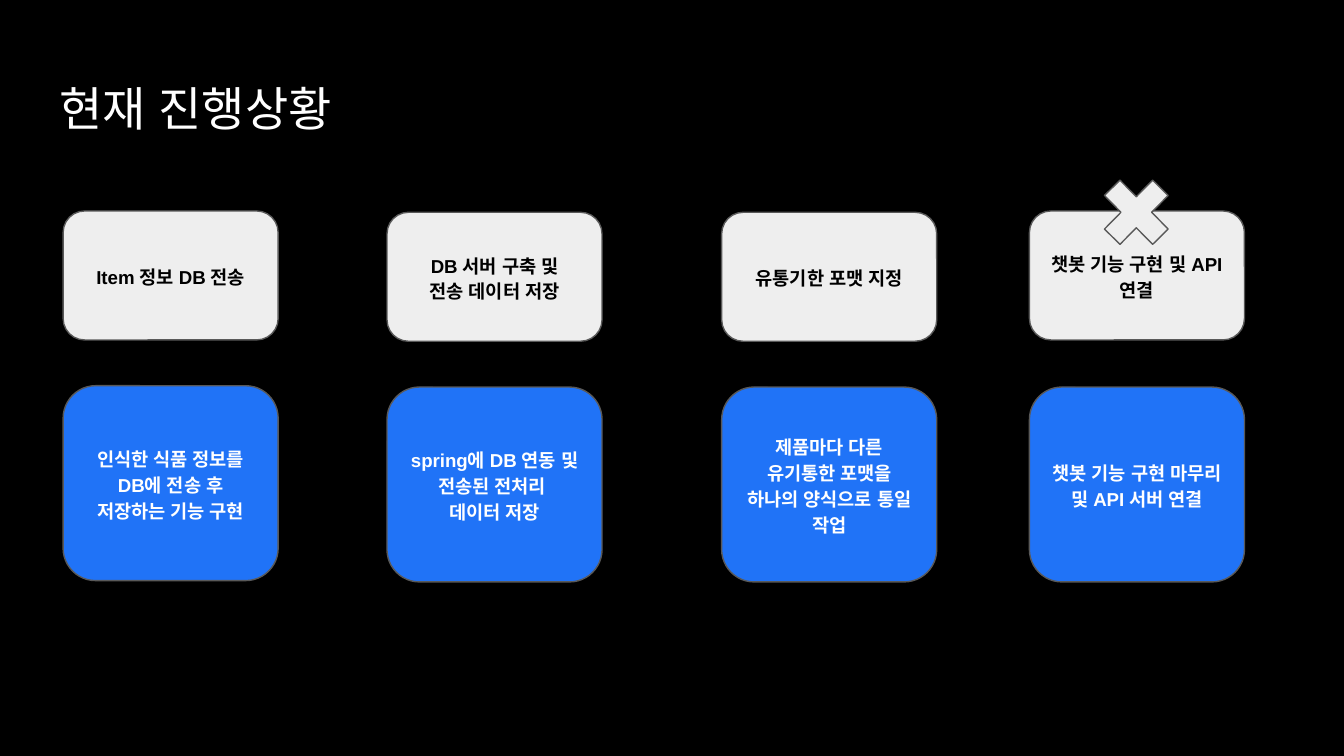
"""Build a progress slide: four tasks, each a header card over a detail card."""
from lxml.etree import SubElement
from pptx import Presentation
from pptx.dml.color import RGBColor
from pptx.enum.shapes import MSO_SHAPE as Kind
from pptx.enum.text import MSO_ANCHOR as Anchor, PP_ALIGN as Align
from pptx.oxml.ns import qn
from pptx.util import Inches, Pt


def paint(shape, fill, line="595959"):
    shape.shadow.inherit = False
    shape.fill.solid()
    shape.fill.fore_color.rgb = RGBColor.from_string(fill)
    shape.line.color.rgb = RGBColor.from_string(line)
    shape.line.width = Pt(0.75)


def write(shape, text, size=10, color="000000", bold=True, align=Align.CENTER, gap=1.15):
    frame = shape.text_frame
    frame.word_wrap = True
    frame.vertical_anchor = Anchor.MIDDLE
    frame.margin_left = frame.margin_right = Inches(0.1)
    frame.margin_top = frame.margin_bottom = Inches(0.1)
    frame.text = text
    for para in frame.paragraphs:
        para.alignment = align
        para.line_spacing = gap
        para.space_before = Pt(0)
        run = para.runs[0]
        font = run.font
        font.name, font.size, font.bold = "Arial", Pt(size), bold
        font.color.rgb = RGBColor.from_string(color)
        props = run._r.get_or_add_rPr()
        props.set("kern", "0")
        props.set("lang", "ko")
        for tag in ("a:ea", "a:cs"):
            SubElement(props, qn(tag), typeface="Arial")


deck = Presentation()
deck.slide_width, deck.slide_height = Inches(10), Inches(10 * 9 / 16)
slide = deck.slides.add_slide(deck.slide_layouts[5])
slide.background.fill.solid()
slide.background.fill.fore_color.rgb = RGBColor.from_string("000000")

title = slide.shapes.title
title.left, title.top = Inches(0.34), Inches(0.49)
title.width, title.height = Inches(9.32), Inches(0.63)
write(title, "현재 진행상황", size=25.2, color="FFFFFF", bold=False, align=Align.LEFT, gap=1)

tasks = [
    (0.47, 1.57, 2.87, "Item 정보 DB 전송", "인식한 식품 정보를 DB에 전송 후 저장하는 기능 구현"),
    (2.88, 1.58, 2.88, "DB 서버 구축 및\n전송 데이터 저장", "spring에 DB 연동 및 전송된 전처리 \n데이터 저장"),
    (5.37, 1.58, 2.88, "유통기한 포맷 지정", "제품마다 다른 유기통한 포맷을 하나의 양식으로 통일 작업"),
    (7.66, 1.57, 2.88, "챗봇 기능 구현 및 API 연결", "챗봇 기능 구현 마무리 및 API 서버 연결"),
]
for left, head, body, name, detail in tasks:
    for top, tall, text, fill, color in (
        (head, 0.96, name, "EEEEEE", "000000"),
        (body, 1.45, detail, "2073F7", "FFFFFF"),
    ):
        card = slide.shapes.add_shape(
            Kind.ROUNDED_RECTANGLE, Inches(left), Inches(top), Inches(1.6), Inches(tall))
        paint(card, fill)
        write(card, text, color=color)

cross = slide.shapes.add_shape(
    Kind.MATH_MULTIPLY, Inches(8.11), Inches(1.23), Inches(0.69), Inches(0.7))
paint(cross, "EEEEEE")

deck.save("out.pptx")
